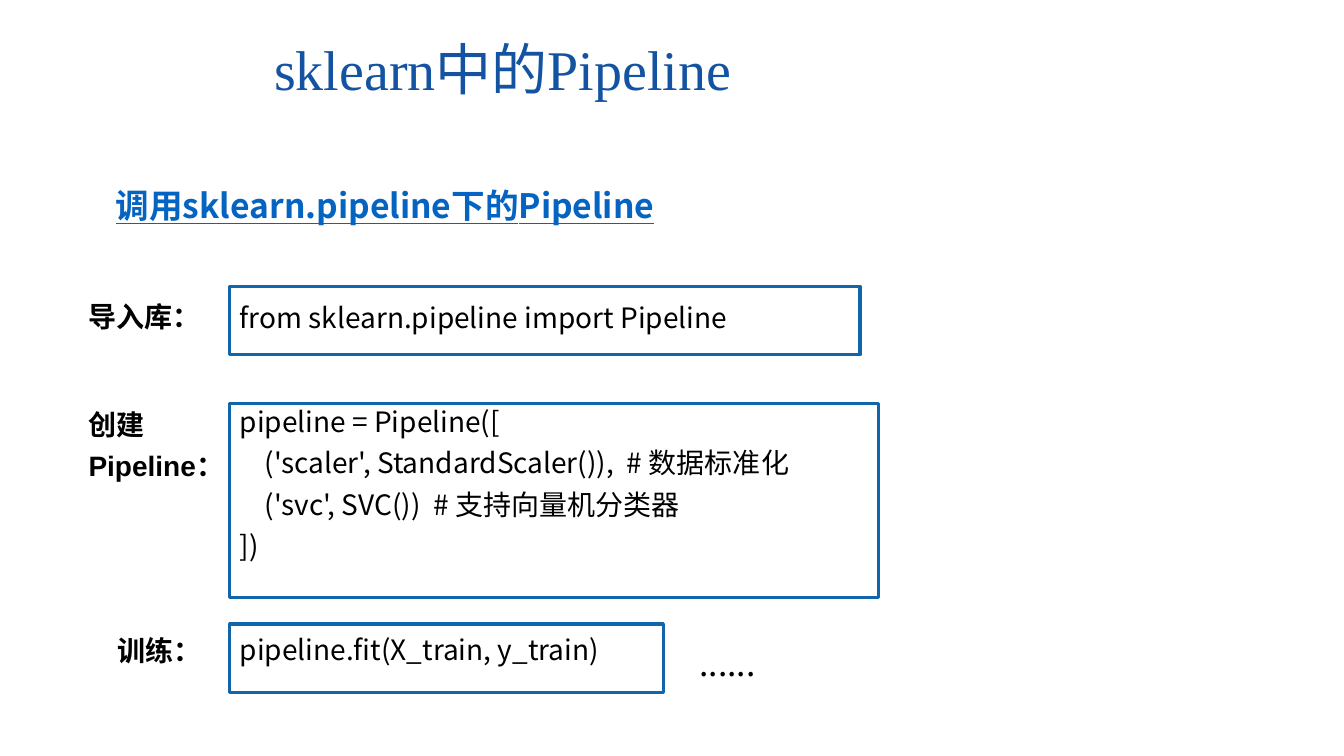
from dataclasses import dataclass

import pptx
import pptx.dml.color
import pptx.enum.shapes
import pptx.enum.text
import pptx.oxml
import pptx.oxml.ns
import pptx.util
from pptx.util import Inches, Pt


@dataclass(frozen=True)
class Theme:
    title_color: str = "1353A2"
    heading_color: str = "0563C1"
    frame_color: str = "1165AB"
    text_color: str = "000000"
    sans: str = "Noto Sans CJK SC"
    serif: str = "Times New Roman"
    label: str = "Arial"
    title_size: float = 40
    heading_size: float = 24
    body_size: float = 20
    frame_width: float = 2.25


THEME = Theme()


@dataclass(frozen=True)
class TextStyle:
    font: str
    size: float
    color: str = THEME.text_color
    bold: bool = False
    underline: bool = False
    margin: float = 0
    indent: float = 0
    line_spacing: float = 1.0
    space_before: float = 0


@dataclass(frozen=True)
class TextBlock:
    left: float
    top: float
    width: float
    height: float
    lines: tuple[str, ...]
    style: TextStyle


@dataclass(frozen=True)
class CodeBlock:
    top: float
    width: float
    height: float
    text_inset: float
    lines: tuple[str, ...]


TITLE = TextStyle(THEME.serif, THEME.title_size, THEME.title_color)
HEADING = TextStyle(THEME.sans, THEME.heading_size, THEME.heading_color,
                    bold=True, underline=True, margin=0.25, line_spacing=0.9)
CODE = TextStyle(THEME.sans, THEME.body_size, line_spacing=0.9, space_before=8)
LABEL = TextStyle(THEME.label, THEME.body_size, bold=True, indent=0.5,
                  line_spacing=0.9, space_before=8)
ELLIPSIS = TextStyle(THEME.sans, THEME.heading_size)

CODE_LEFT = 2.28

TITLE_BLOCK = TextBlock(2.62, 0.29, 9.16, 0.77, ("sklearn中的Pipeline",), TITLE)
TEXT_BLOCKS = (
    TextBlock(0.8, 1.83, 11.83, 1.58, ("调用sklearn.pipeline下的Pipeline",), HEADING),
    TextBlock(0.28, 2.96, 1.85, 0.46, ("导入库：",), LABEL),
    TextBlock(0.28, 4.03, 2.24, 0.91, ("创建", "Pipeline："), LABEL),
    TextBlock(0.57, 6.27, 2.24, 0.46, ("训练：",), LABEL),
    TextBlock(6.84, 6.33, 6.67, 0.5, ("......",), ELLIPSIS),
)
CODE_BLOCKS = (
    CodeBlock(2.84, 6.25, 0.68, 0.18, ("from sklearn.pipeline import Pipeline",)),
    CodeBlock(4, 6.43, 1.93, 0.05, (
        "pipeline = Pipeline([",
        "    ('scaler', StandardScaler()),  # 数据标准化",
        "    ('svc', SVC())  # 支持向量机分类器",
        "])",
    )),
    CodeBlock(6.19, 4.3, 0.68, 0.12, ("pipeline.fit(X_train, y_train)",)),
)


def rgb(color: str) -> pptx.dml.color.RGBColor:
    return pptx.dml.color.RGBColor.from_string(color)


def apply_format(target: object, values: dict[str, object]) -> None:
    for name, value in values.items():
        setattr(target, name, value)


def write_lines(text_frame, lines: tuple[str, ...], style: TextStyle,
                anchor=pptx.enum.text.MSO_ANCHOR.TOP) -> None:
    apply_format(text_frame, {
        "word_wrap": True,
        "vertical_anchor": anchor,
        "auto_size": pptx.enum.text.MSO_AUTO_SIZE.NONE,
    })
    for index, line in enumerate(lines):
        paragraph = text_frame.add_paragraph() if index else text_frame.paragraphs[0]
        apply_format(paragraph, {
            "alignment": pptx.enum.text.PP_ALIGN.LEFT,
            "line_spacing": style.line_spacing,
            "space_before": Pt(style.space_before if index else 0),
        })
        properties = paragraph._p.get_or_add_pPr()
        properties.set("marL", str(Inches(style.margin)))
        properties.set("indent", str(Inches(style.indent)))
        run = paragraph.add_run()
        run.text = line
        apply_format(run.font, {
            "name": style.font,
            "size": Pt(style.size),
            "bold": style.bold,
            "underline": style.underline,
        })
        run.font.color.rgb = rgb(style.color)
        east_asian = pptx.oxml.parse_xml(
            f'<a:ea {pptx.oxml.ns.nsdecls("a")} typeface="{THEME.sans}"/>')
        run.font._element.find(pptx.oxml.ns.qn("a:latin")).addnext(east_asian)


def place_title(slide, block: TextBlock) -> None:
    title = slide.shapes.title
    apply_format(title, {
        "left": Inches(block.left),
        "top": Inches(block.top),
        "width": Inches(block.width),
        "height": Inches(block.height),
    })
    write_lines(title.text_frame, block.lines, block.style,
                pptx.enum.text.MSO_ANCHOR.MIDDLE)


def add_text(slide, block: TextBlock) -> None:
    shape = slide.shapes.add_textbox(Inches(block.left), Inches(block.top),
                                     Inches(block.width), Inches(block.height))
    write_lines(shape.text_frame, block.lines, block.style)


def add_code(slide, block: CodeBlock) -> None:
    """Draw an outlined frame holding lines of code."""
    shape = slide.shapes.add_shape(
        pptx.enum.shapes.MSO_SHAPE.RECTANGLE, Inches(CODE_LEFT), Inches(block.top),
        Inches(block.width), Inches(block.height))
    shape.shadow.inherit = False
    shape.fill.background()
    shape.line.color.rgb = rgb(THEME.frame_color)
    shape.line.width = Pt(THEME.frame_width)
    shape.text_frame.margin_top = Inches(block.text_inset)
    write_lines(shape.text_frame, block.lines, CODE)


def main() -> None:
    presentation = pptx.Presentation()
    presentation.slide_width = Inches(13.33)
    presentation.slide_height = Inches(7.5)
    slide = presentation.slides.add_slide(presentation.slide_layouts[5])
    place_title(slide, TITLE_BLOCK)
    for text_block in TEXT_BLOCKS:
        add_text(slide, text_block)
    for code_block in CODE_BLOCKS:
        add_code(slide, code_block)
    presentation.save("out.pptx")


if __name__ == "__main__":
    main()
